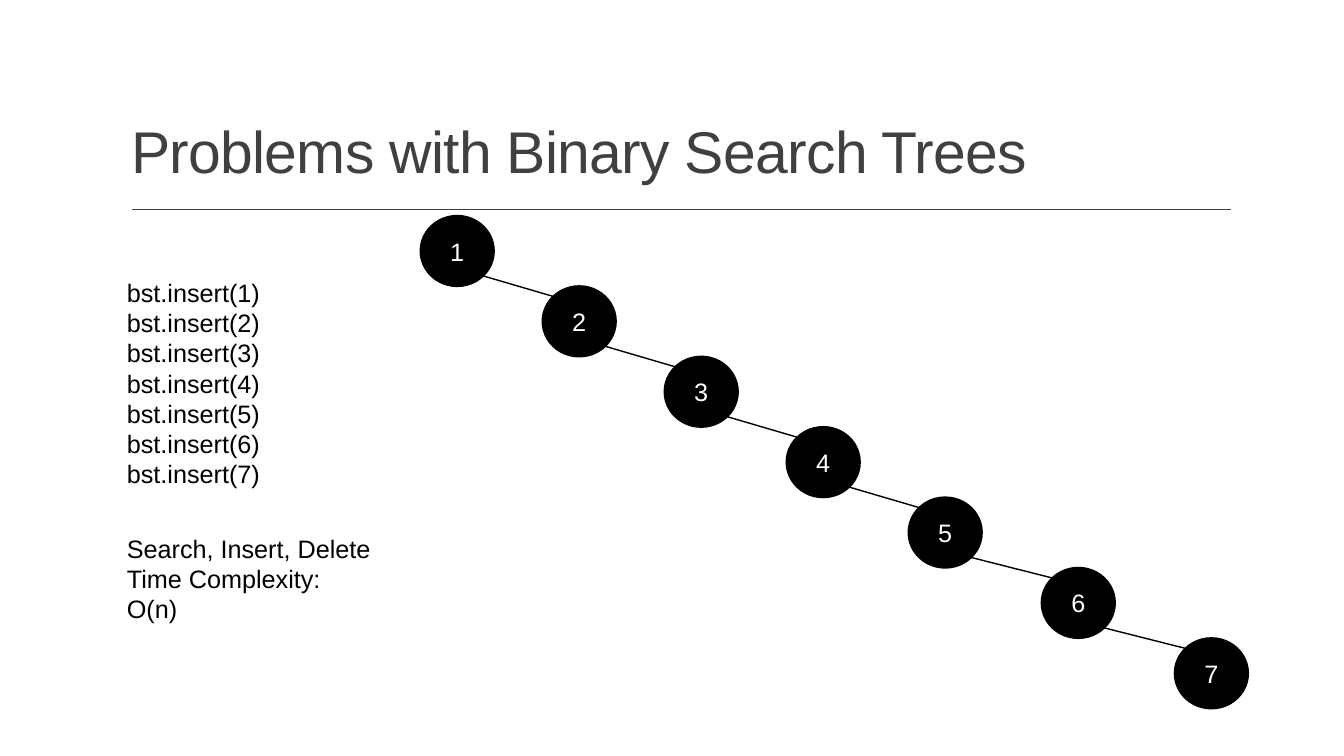
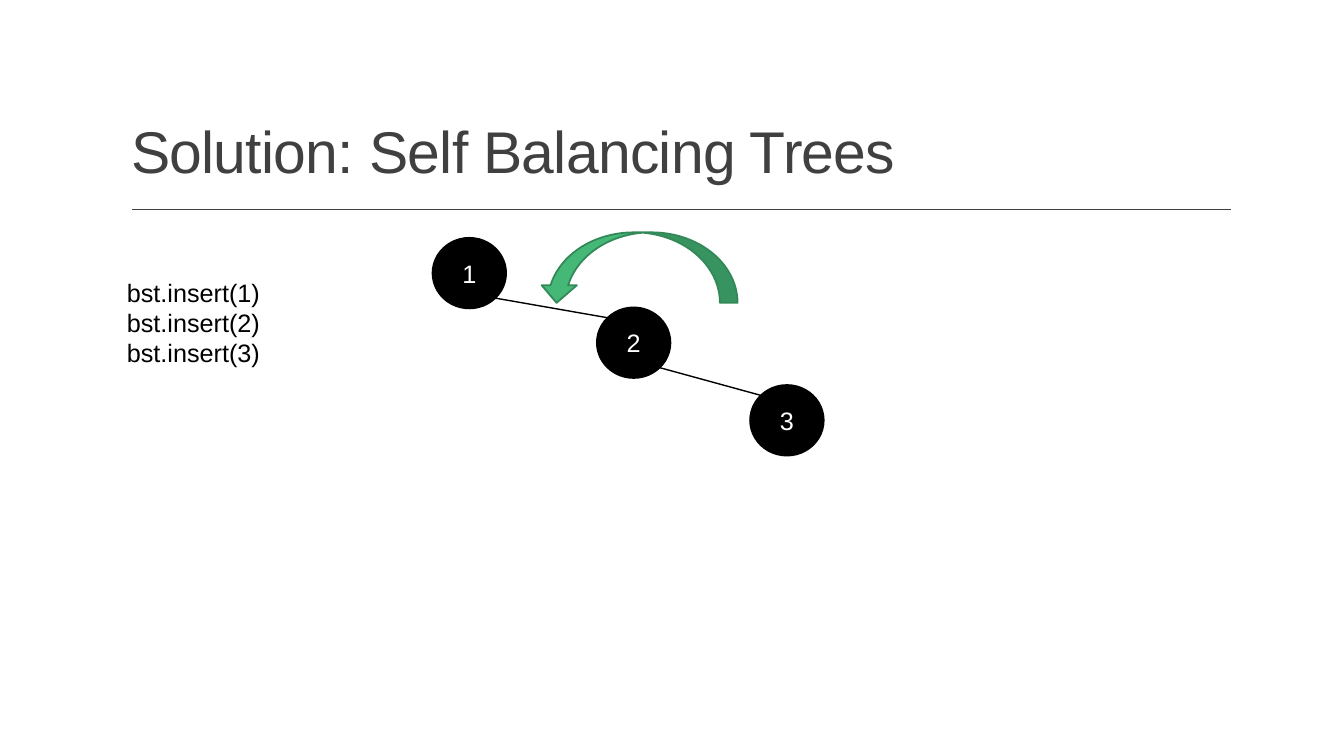
from itertools import pairwise
from math import cos, pi

from pptx import Presentation
from pptx.dml.color import RGBColor
from pptx.enum.shapes import MSO_CONNECTOR, MSO_SHAPE
from pptx.enum.text import MSO_ANCHOR, PP_ALIGN
from pptx.oxml.ns import qn
from pptx.util import Inches, Pt

BLACK = RGBColor(0x00, 0x00, 0x00)
WHITE = RGBColor(0xFF, 0xFF, 0xFF)
GRAY = RGBColor(0x40, 0x40, 0x40)
GREEN = RGBColor(0x45, 0xB8, 0x77)
DARK_GREEN = RGBColor(0x33, 0x88, 0x58)

TITLE_BOX = {"left": 1.2, "top": 0.31, "width": 11, "height": 1.59}
TITLE_FONT = {"name": "Arial", "size": Pt(42)}
BODY_FONT = {"name": "Arial", "size": Pt(18)}
TITLE_ONLY_LAYOUT = 5
TEXT_LEFT = 1.16
NODE_WIDTH, NODE_HEIGHT = 0.73, 0.7
DIAGONAL = cos(pi / 4)

CHAIN_TOP, CHAIN_BOTTOM = 2.14, 6.33
CHAIN_LEFTS = [4.17 + 1.21 * step for step in range(5)] + [10.33, 11.65]
ROTATION_NODES = [(4.29, 2.36), (5.92, 3.05), (7.44, 3.82)]


def set_font(font, values, color):
    """Apply a dict of font values and a colour."""
    for name, value in values.items():
        setattr(font, name, value)
    font.color.rgb = color


def paint(shape, fill, line):
    """Give a shape a flat fill and outline without a shadow."""
    shape.shadow.inherit = False
    shape.fill.solid()
    shape.fill.fore_color.rgb = fill
    shape.line.color.rgb = line
    shape.line.width = Pt(1.25)


def add_line(slide, start, end, color):
    """Draw a thin straight line between two points in inches."""
    points = [Inches(value) for value in (*start, *end)]
    line = slide.shapes.add_connector(MSO_CONNECTOR.STRAIGHT, *points)
    line.line.color.rgb = color
    line.line.width = Pt(1)
    properties = line._element.spPr
    properties.append(properties.makeelement(qn("a:effectLst"), {}))


def add_titled_slide(presentation, text):
    """Add a slide with the shared title style and rule."""
    slide = presentation.slides.add_slide(presentation.slide_layouts[TITLE_ONLY_LAYOUT])
    title = slide.shapes.title
    for name, value in TITLE_BOX.items():
        setattr(title, name, Inches(value))
    title.text_frame.vertical_anchor = MSO_ANCHOR.BOTTOM
    paragraph = title.text_frame.paragraphs[0]
    paragraph.alignment = PP_ALIGN.LEFT
    paragraph.line_spacing = 0.9
    run = paragraph.add_run()
    run.text = text
    set_font(run.font, TITLE_FONT, GRAY)
    run._r.get_or_add_rPr().set("spc", "-50")
    add_line(slide, (1.31, 2.08), (12.21, 2.08), GRAY)
    return slide


def add_text(slide, top, width, height, lines):
    """Add a left text block with one paragraph per line."""
    box = slide.shapes.add_textbox(
        Inches(TEXT_LEFT), Inches(top), Inches(width), Inches(height)
    )
    frame = box.text_frame
    frame.word_wrap = True
    frame.text = "\n".join(lines)
    for paragraph in frame.paragraphs:
        set_font(paragraph.font, BODY_FONT, BLACK)


def add_inserts(slide, count, height):
    """List the insert calls for the keys from 1 to count."""
    calls = [f"bst.insert({key})" for key in range(1, count + 1)]
    add_text(slide, 2.7, 1.58, height, calls)


def add_node(slide, left, top, key):
    """Draw one tree node with its key."""
    node = slide.shapes.add_shape(
        MSO_SHAPE.OVAL, Inches(left), Inches(top), Inches(NODE_WIDTH), Inches(NODE_HEIGHT)
    )
    paint(node, BLACK, BLACK)
    frame = node.text_frame
    frame.vertical_anchor = MSO_ANCHOR.MIDDLE
    frame.text = str(key)
    paragraph = frame.paragraphs[0]
    paragraph.alignment = PP_ALIGN.CENTER
    set_font(paragraph.font, BODY_FONT, WHITE)


def node_point(corner, side):
    """Return the diagonal rim point, lower right for 1 and upper left for -1."""
    left, top = corner
    return (
        left + NODE_WIDTH / 2 * (1 + side * DIAGONAL),
        top + NODE_HEIGHT / 2 * (1 + side * DIAGONAL),
    )


def add_chain(slide, corners):
    """Draw numbered nodes, each linked to its right child."""
    for key, (left, top) in enumerate(corners, start=1):
        add_node(slide, left, top, key)
    for parent, child in pairwise(corners):
        add_line(slide, node_point(parent, 1), node_point(child, -1), BLACK)


def add_rotation_arrow(slide):
    """Draw the curved arrow of a left rotation."""
    arrow = slide.shapes.add_shape(
        MSO_SHAPE.CURVED_RIGHT_ARROW, Inches(5.98), Inches(1.67), Inches(0.7), Inches(1.97)
    )
    arrow.rotation = 90
    paint(arrow, GREEN, DARK_GREEN)


def build_problem_slide(presentation):
    """Show a search tree that has degenerated into a list."""
    slide = add_titled_slide(presentation, "Problems with Binary Search Trees")
    count = len(CHAIN_LEFTS)
    step = (CHAIN_BOTTOM - CHAIN_TOP) / (count - 1)
    add_chain(slide, [(left, CHAIN_TOP + step * i) for i, left in enumerate(CHAIN_LEFTS)])
    add_inserts(slide, count, 2.22)
    add_text(slide, 5.24, 2.7, 1.01, ["Search, Insert, Delete", "Time Complexity:", "O(n)"])


def build_solution_slide(presentation):
    """Show the rotation that balances three nodes."""
    slide = add_titled_slide(presentation, "Solution: Self Balancing Trees")
    add_chain(slide, ROTATION_NODES)
    add_inserts(slide, len(ROTATION_NODES), 1.01)
    add_rotation_arrow(slide)


def main():
    """Build and save the presentation."""
    presentation = Presentation()
    presentation.slide_width = Inches(13.33)
    presentation.slide_height = Inches(7.5)
    build_problem_slide(presentation)
    build_solution_slide(presentation)
    presentation.save("out.pptx")


if __name__ == "__main__":
    main()
